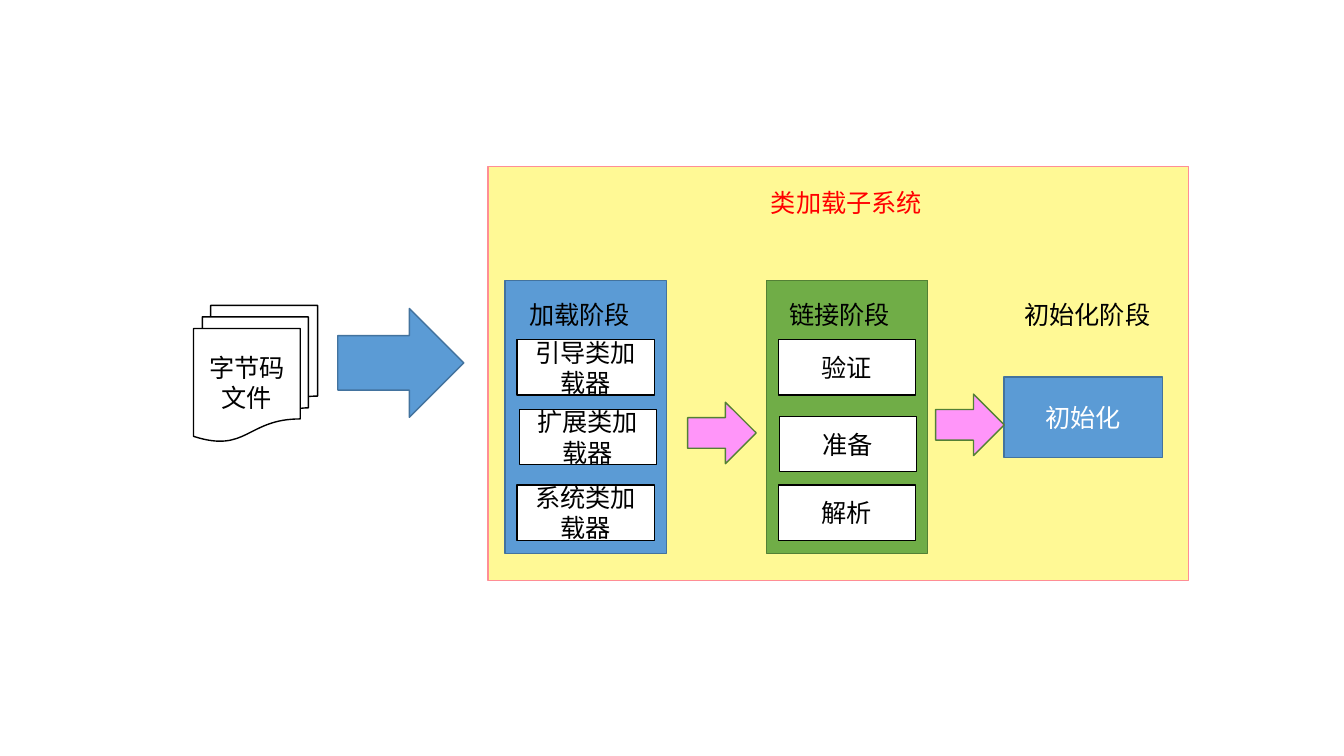
from lxml import etree
from pptx import Presentation
from pptx.dml.color import RGBColor
from pptx.enum import shapes, text
from pptx.oxml import ns
from pptx.util import Inches, Pt

FONT = "Noto Sans CJK SC"
BLACK = RGBColor(0x00, 0x00, 0x00)
WHITE = RGBColor(0xFF, 0xFF, 0xFF)
RED = RGBColor(0xFF, 0x00, 0x00)
YELLOW = RGBColor(0xFF, 0xF9, 0x95)
ROSE = RGBColor(0xFF, 0x8E, 0x95)
BLUE = RGBColor(0x5B, 0x9B, 0xD5)
DARK_BLUE = RGBColor(0x43, 0x73, 0x9E)
GREEN = RGBColor(0x70, 0xAD, 0x47)
DARK_GREEN = RGBColor(0x53, 0x80, 0x35)
PINK = RGBColor(0xFF, 0x95, 0xF9)

KIND = shapes.MSO_SHAPE
CENTER, LEFT = text.PP_ALIGN.CENTER, text.PP_ALIGN.LEFT

deck = Presentation()
deck.slide_width, deck.slide_height = Inches(13.33), Inches(7.5)
slide = deck.slides.add_slide(deck.slide_layouts[6])


def write(holder, wording, color, align=CENTER):
    """Put one 18 pt paragraph into a shape or text box."""
    holder.text_frame.word_wrap = True
    paragraph = holder.text_frame.paragraphs[0]
    paragraph.text = wording
    paragraph.alignment = align
    paragraph.font.size = Pt(18)
    paragraph.font.name = FONT
    paragraph.font.color.rgb = color
    defaults = paragraph._p.pPr.find(ns.qn("a:defRPr"))
    etree.SubElement(defaults, ns.qn("a:ea"), typeface=FONT)


def draw(kind, box, fill, line, wording="", color=BLACK):
    """Add a filled, outlined shape, with centred wording if given."""
    shape = slide.shapes.add_shape(kind, *map(Inches, box))
    shape.shadow.inherit = False
    shape.fill.solid()
    shape.fill.fore_color.rgb = fill
    shape.line.color.rgb = line
    shape.line.width = Pt(1)
    if wording:
        shape.text_frame.vertical_anchor = text.MSO_ANCHOR.MIDDLE
        write(shape, wording, color)


# Subsystem and the bytecode files that feed it
draw(KIND.RECTANGLE, (4.84, 1.65, 6.95, 4.11), YELLOW, ROSE)
draw(KIND.FLOWCHART_MULTIDOCUMENT, (1.92, 3.03, 1.23, 1.35), WHITE, BLACK, "字节码文件")
draw(KIND.RIGHT_ARROW, (3.35, 3.06, 1.25, 1.08), BLUE, DARK_BLUE)

# Loading and linking stages, each with three steps: (wording, left inset, top)
stages = [
    (5.01, BLUE, DARK_BLUE,
     [("引导类加载器", 0.12, 3.37), ("扩展类加载器", 0.14, 4.06), ("系统类加载器", 0.12, 4.81)]),
    (7.6, GREEN, DARK_GREEN,
     [("验证", 0.12, 3.37), ("准备", 0.13, 4.13), ("解析", 0.12, 4.81)]),
]
for stage_left, fill, line, steps in stages:
    draw(KIND.FLOWCHART_PROCESS, (stage_left, 2.78, 1.6, 2.71), fill, line)
    for step, inset, top in steps:
        draw(KIND.FLOWCHART_PROCESS, (stage_left + inset, top, 1.36, 0.55), WHITE, BLACK, step)

# Initialization stage
draw(KIND.FLOWCHART_PROCESS, (9.96, 3.74, 1.57, 0.8), BLUE, DARK_BLUE, "初始化", WHITE)

# Arrows between stages
for left, top in [(6.82, 3.99), (9.28, 3.91)]:
    draw(KIND.RIGHT_ARROW, (left, top, 0.68, 0.61), PINK, DARK_GREEN)

# Titles
titles = [
    ("加载阶段", 5.15, 2.92, 1.34, BLACK, LEFT),
    ("链接阶段", 7.73, 2.92, 1.32, BLACK, LEFT),
    ("类加载子系统", 6.05, 1.81, 4.69, RED, CENTER),
    ("初始化阶段", 10.06, 2.92, 1.47, BLACK, LEFT),
]
for title, left, top, width, color, align in titles:
    label = slide.shapes.add_textbox(Inches(left), Inches(top), Inches(width), Inches(0.4))
    write(label, title, color, align)

deck.save("out.pptx")
